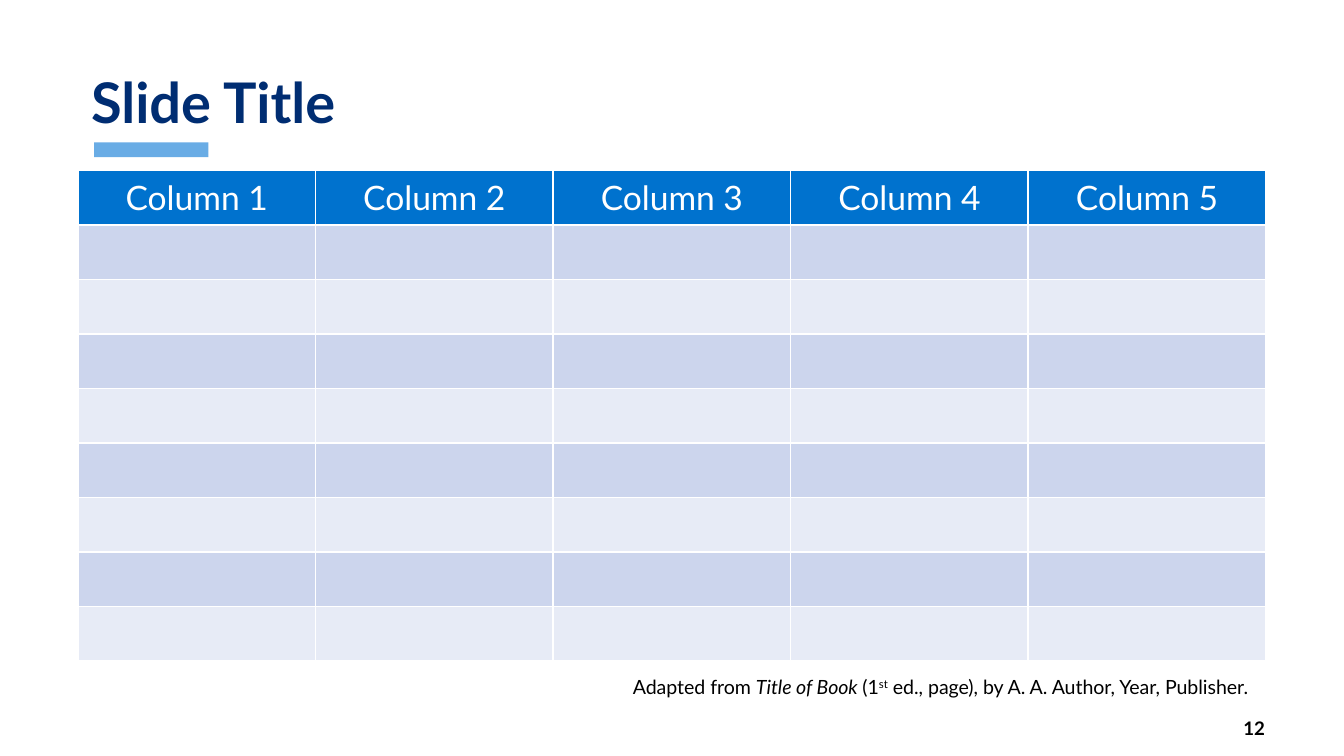
import pptx
import pptx.util
import pptx.dml.color
import pptx.enum.shapes
import pptx.enum.text

Inches, Pt = pptx.util.Inches, pptx.util.Pt
RGBColor = pptx.dml.color.RGBColor
PP_ALIGN = pptx.enum.text.PP_ALIGN
MSO_ANCHOR = pptx.enum.text.MSO_ANCHOR

TITLE = "Slide Title"
COLUMNS = [f"Column {n}" for n in range(1, 6)]
BODY_ROWS = 8
# text, italic, superscript
CREDIT = [
    ("Adapted from ", False, False),
    ("Title of Book ", True, False),
    ("(1", False, False),
    ("st", False, True),
    (" ed., page), by A. A. Author, Year, Publisher.", False, False),
]
PAGE_NUMBER = "12"

FONT = "Lato"
NAVY = RGBColor(0x00, 0x2D, 0x72)
BLUE = RGBColor(0x00, 0x72, 0xCE)
SKY = RGBColor(0x69, 0xAC, 0xE5)
BAND_DARK = RGBColor(0xCC, 0xD5, 0xED)
BAND_LIGHT = RGBColor(0xE7, 0xEB, 0xF6)
WHITE = RGBColor(0xFF, 0xFF, 0xFF)
BLACK = RGBColor(0x00, 0x00, 0x00)

SLIDE_WIDTH = 10
SLIDE_HEIGHT = SLIDE_WIDTH * 9 / 16
WIDTH = 8.84
LEFT = (SLIDE_WIDTH - WIDTH) / 2
TABLE_TOP, TABLE_HEIGHT = 1.27, 3.65


def style(p, size, color, align, bold=False):
    p.alignment = align
    p.font.name = FONT
    p.font.size = Pt(size)
    p.font.bold = bold
    p.font.color.rgb = color


def add_text(slide, box, runs, size, color, align, anchor, bold=False):
    """Add a one-paragraph text box; return its text frame."""
    tf = slide.shapes.add_textbox(*map(Inches, box)).text_frame
    tf.word_wrap = True
    tf.vertical_anchor = anchor
    p = tf.paragraphs[0]
    style(p, size, color, align, bold)
    for text, italic, superscript in runs:
        r = p.add_run()
        r.text = text
        if italic:
            r.font.italic = True
        if superscript:
            r.font._element.set("baseline", "30000")
    return tf


def add_table(slide):
    row_count = BODY_ROWS + 1
    table = slide.shapes.add_table(
        row_count, len(COLUMNS), Inches(LEFT), Inches(TABLE_TOP),
        Inches(WIDTH), Inches(TABLE_HEIGHT)).table
    for i, row in enumerate(table.rows):
        fill = BLUE if i == 0 else BAND_DARK if i % 2 else BAND_LIGHT
        for cell in row.cells:
            cell.fill.solid()
            cell.fill.fore_color.rgb = fill
    for cell, heading in zip(table.rows[0].cells, COLUMNS):
        cell.text = heading
        cell.vertical_anchor = MSO_ANCHOR.MIDDLE
        style(cell.text_frame.paragraphs[0], 18, WHITE, PP_ALIGN.CENTER)


prs = pptx.Presentation()
prs.slide_width, prs.slide_height = Inches(SLIDE_WIDTH), Inches(SLIDE_HEIGHT)
slide = prs.slides.add_slide(prs.slide_layouts[6])

accent = slide.shapes.add_shape(
    pptx.enum.shapes.MSO_SHAPE.RECTANGLE,
    Inches(0.7), Inches(1.06), Inches(0.85), Inches(0.11))
accent.shadow.inherit = False
accent.fill.solid()
accent.fill.fore_color.rgb = SKY
accent.line.fill.background()

add_text(slide, (8.64, 5.32, 0.87, 0.19), [(PAGE_NUMBER, False, False)],
         10, BLACK, PP_ALIGN.RIGHT, MSO_ANCHOR.MIDDLE, bold=True)
add_table(slide)
credit = add_text(slide, (2.05, 5.01, 7.38, 0.22), CREDIT,
                  10.5, BLACK, PP_ALIGN.RIGHT, MSO_ANCHOR.MIDDLE)
credit.margin_right = Inches(0.14)
title = add_text(slide, (LEFT, 0.12, WIDTH, 0.94), [(TITLE, False, False)],
                 30, NAVY, PP_ALIGN.LEFT, MSO_ANCHOR.BOTTOM, bold=True)
for tf in (credit, title):
    tf.paragraphs[0].line_spacing = 0.9

prs.save("out.pptx")
